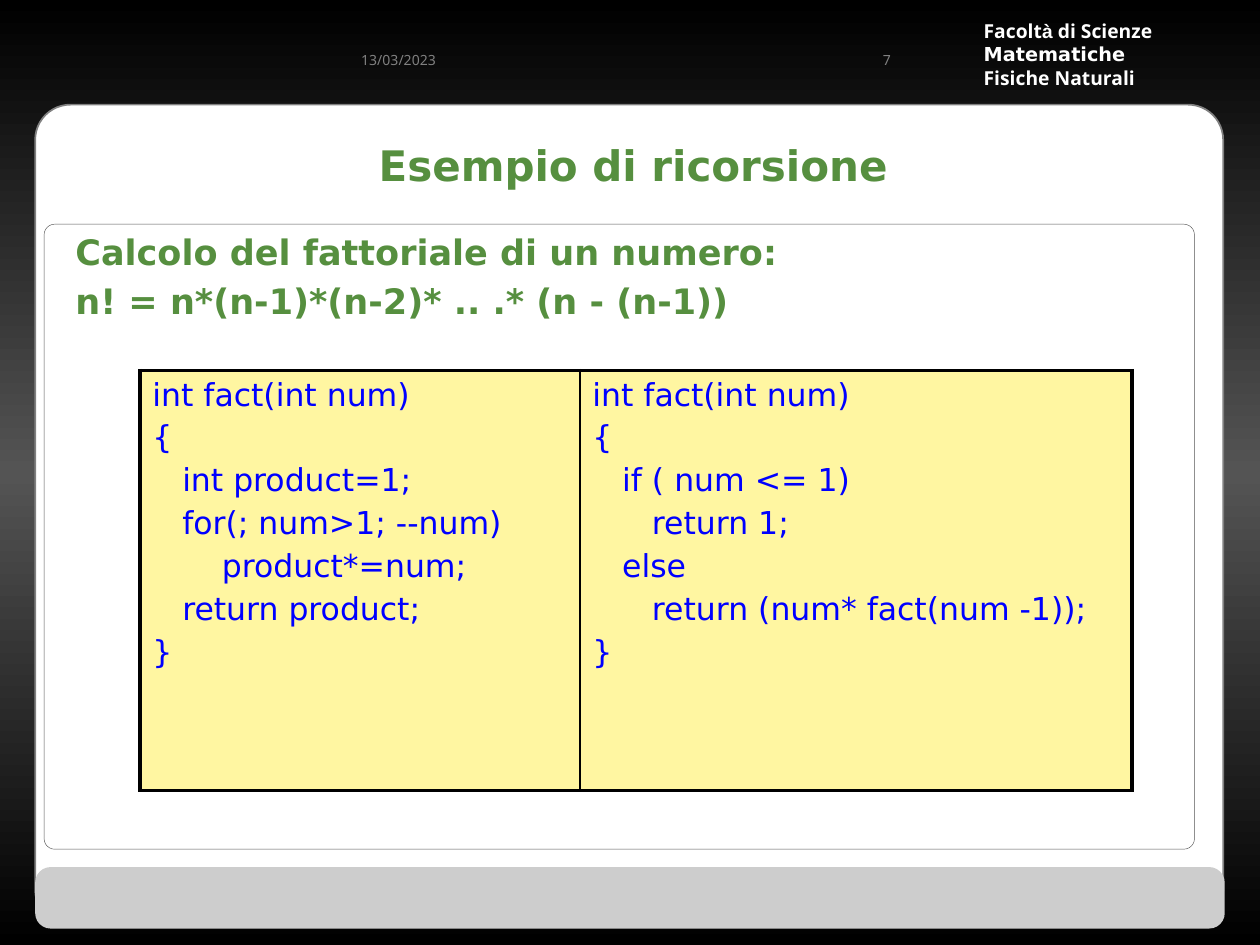
from copy import deepcopy
from typing import NamedTuple

from lxml.etree import SubElement
from pptx import Presentation
from pptx.dml.color import RGBColor
from pptx.enum.shapes import MSO_SHAPE
from pptx.enum.text import MSO_ANCHOR, PP_ALIGN
from pptx.oxml.ns import qn
from pptx.util import Cm, Pt

COLORS = {
    "black": "000000", "dark": "545454", "gray": "808080", "bar": "CDCDCD",
    "white": "FFFFFF", "green": "568F3F", "blue": "0000FF", "cream": "FFF6A1",
}
SANS, NOTO = "DejaVu Sans", "Noto Sans"
SPACE_CM = 0.2  # width of one code indent column


class Box(NamedTuple):
    left: float
    top: float
    width: float
    height: float

    def cm(self) -> list:
        return [Cm(v) for v in self]


class Style(NamedTuple):
    size: float
    color: str
    font: str = SANS
    bold: bool = False
    align: PP_ALIGN = PP_ALIGN.LEFT
    before: float = 0


class Panel(NamedTuple):
    box: Box
    corner: float
    fill: str | None = None
    line: str | None = None
    width: float = 0


class Label(NamedTuple):
    box: Box
    lines: list[str]
    style: Style
    anchor: MSO_ANCHOR = MSO_ANCHOR.MIDDLE


class CodeLine(NamedTuple):
    text: str
    indent: int = 0


def rgb(name: str) -> RGBColor:
    return RGBColor.from_string(COLORS[name])


def set_style(p, style: Style) -> None:
    p.alignment = style.align
    p.space_before = Pt(style.before)
    f = p.font
    f.size, f.name, f.bold = Pt(style.size), style.font, style.bold
    f.color.rgb = rgb(style.color)


def add_paragraphs(tf, lines: list[str], style: Style) -> list:
    for i, line in enumerate(lines):
        p = tf.paragraphs[0] if i == 0 else tf.add_paragraph()
        p.add_run().text = line
        set_style(p, style)
    return list(tf.paragraphs)


def add_panel(s, panel: Panel) -> None:
    sp = s.shapes.add_shape(MSO_SHAPE.ROUNDED_RECTANGLE, *panel.box.cm())
    sp.adjustments[0] = panel.corner
    sp.shadow.inherit = False
    if panel.fill:
        sp.fill.solid()
        sp.fill.fore_color.rgb = rgb(panel.fill)
    else:
        sp.fill.background()
    if panel.line:
        sp.line.color.rgb = rgb(panel.line)
        sp.line.width = Pt(panel.width)
    else:
        sp.line.fill.background()


def add_label(s, label: Label) -> list:
    tf = s.shapes.add_textbox(*label.box.cm()).text_frame
    tf.word_wrap = True
    tf.vertical_anchor = label.anchor
    return add_paragraphs(tf, label.lines, label.style)


def set_borders(cell, widths: dict[str, float]) -> None:
    tc_pr = cell._tc.get_or_add_tcPr()
    for i, (side, width) in enumerate(widths.items()):
        ln = SubElement(tc_pr, qn(f"a:ln{side}"), w=str(Pt(width)))
        fill = SubElement(ln, qn("a:solidFill"))
        SubElement(fill, qn("a:srgbClr"), val=COLORS["black"])
        tc_pr.insert(i, ln)  # borders come before the cell fill


def fill_code_cell(cell, code: list[CodeLine], left: float, right: float) -> None:
    cell.fill.solid()
    cell.fill.fore_color.rgb = rgb("cream")
    style = Style(18, "blue", before=3.6)
    paragraphs = add_paragraphs(cell.text_frame, [c.text for c in code], style)
    for p, line in zip(paragraphs, code):
        p._p.get_or_add_pPr().set("marL", str(Cm(line.indent * SPACE_CM)))
    set_borders(cell, {"L": left, "R": right, "T": 2.25, "B": 2.25})


def set_background(s) -> None:
    fill = s.background.fill
    fill.gradient()
    fill.gradient_angle = 90
    stops = next(s.element.iter(qn("a:gsLst")))
    stops.append(deepcopy(stops[0]))
    for i, (stop, color) in enumerate(zip(fill.gradient_stops, ("black", "dark", "black"))):
        stop.position = i / 2
        stop.color.rgb = rgb(color)


PANELS = [
    Panel(Box(0.71, 2.11, 23.95, 16.54), 0.043, "white", "gray", 1),
    Panel(Box(0.71, 17.48, 23.98, 1.24), 0.252, "bar"),
]
FRAME = Panel(Box(0.89, 4.52, 23.19, 12.6), 0.017, None, "dark", 0.25)

FACULTY = Label(Box(19.58, 0.56, 4.65, 1.07),
                ["Facolt", "Matematiche", "Fisiche Naturali"],
                Style(11, "white", NOTO, True))
SMALL = Style(8, "gray", NOTO, align=PP_ALIGN.RIGHT)
LABELS = [
    Label(Box(16.31, 0.58, 1.9, 1.27), ["7"], SMALL),
    Label(Box(6.35, 0.58, 2.69, 1.27), ["13/03/2023"], SMALL),
    Label(Box(0.89, 2.13, 23.75, 2.39), ["Esempio di ricorsione"],
          Style(24, "green", bold=True, align=PP_ALIGN.CENTER)),
    Label(Box(1.27, 4.52, 22.86, 12.5),
          ["Calcolo del fattoriale di un numero:",
           "n! = n*(n-1)*(n-2)* .. .* (n - (n-1))"],
          Style(20, "green", bold=True, before=4), MSO_ANCHOR.TOP),
]

ITERATIVE = [
    CodeLine("int fact(int num)"), CodeLine("{"),
    CodeLine("int product=1;", 3), CodeLine("for(; num>1; --num)", 3),
    CodeLine("product*=num;", 7), CodeLine("return product;", 3), CodeLine("}"),
]
RECURSIVE = [
    CodeLine("int fact(int num)"), CodeLine("{"),
    CodeLine("if ( num <= 1)", 3), CodeLine("return 1;", 6), CodeLine("else", 3),
    CodeLine("return (num* fact(num -1));", 6), CodeLine("}"),
]


def main() -> None:
    prs = Presentation()
    prs.slide_width, prs.slide_height = Cm(25.4), Cm(19.05)
    s = prs.slides.add_slide(prs.slide_layouts[6])
    set_background(s)

    # White page and bottom bar
    for panel in PANELS:
        add_panel(s, panel)

    # Faculty name, with the accented letter in its own font
    first, second, _ = add_label(s, FACULTY)
    for text, font in (("à", "Arial"), (" di Scienze", NOTO)):
        r = first.add_run()
        r.text, r.font.name = text, font
    second.font.name = SANS

    # Number, date, title and formula
    for label in LABELS:
        add_label(s, label)

    # Iterative and recursive versions side by side
    table = s.shapes.add_table(1, 2, *Box(2.82, 7.47, 20, 8.46).cm()).table
    table.first_row = table.horz_banding = False
    table.columns[0].width, table.columns[1].width = Cm(8.87), Cm(11.13)
    fill_code_cell(table.cell(0, 0), ITERATIVE, left=2.25, right=1)
    fill_code_cell(table.cell(0, 1), RECURSIVE, left=1, right=2.25)

    # Thin frame around the content
    add_panel(s, FRAME)
    prs.save("out.pptx")


if __name__ == "__main__":
    main()
